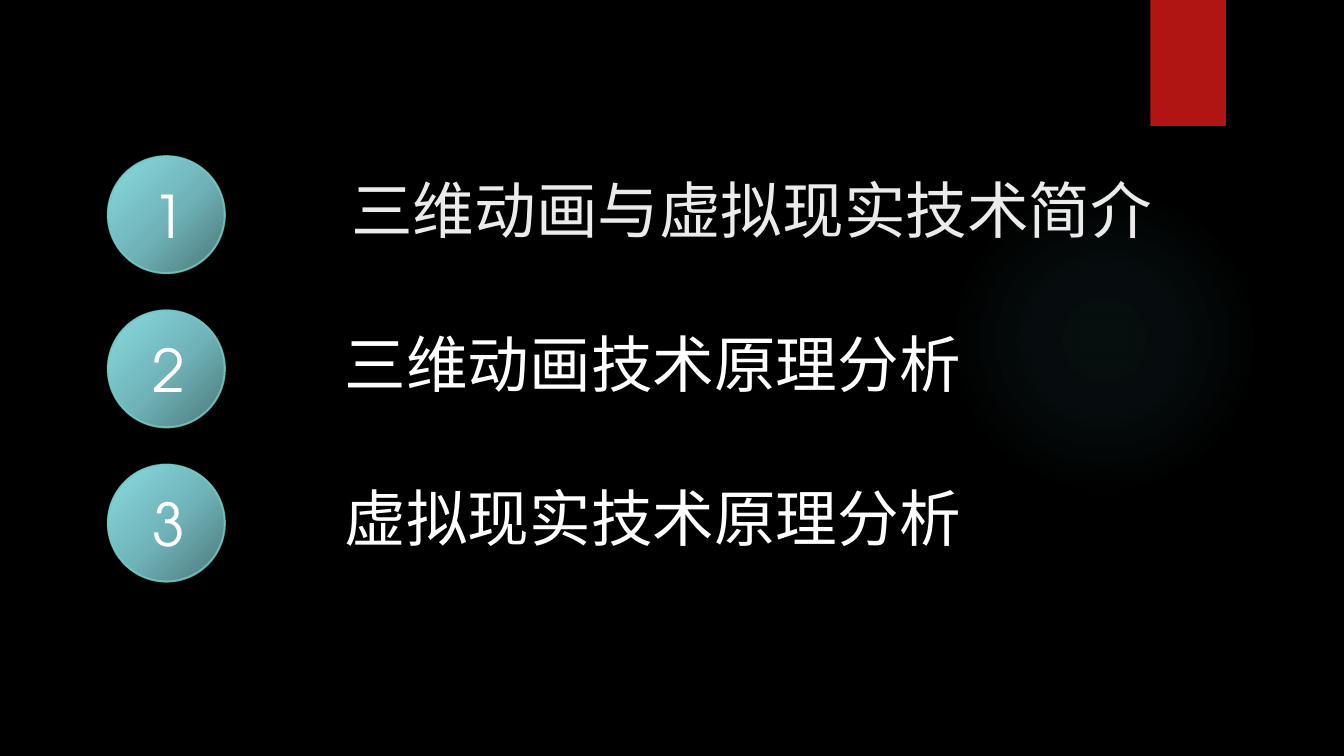
"""Build the contents slide of a course on 3D animation and virtual reality."""
from dataclasses import dataclass

from lxml import etree
from pptx import Presentation
from pptx.dml.color import RGBColor
from pptx.enum.shapes import MSO_SHAPE
from pptx.enum.text import MSO_ANCHOR, MSO_AUTO_SIZE, PP_ALIGN
from pptx.oxml.ns import qn
from pptx.util import Emu, Pt

OVAL, RECT = MSO_SHAPE.OVAL, MSO_SHAPE.RECTANGLE
CENTER, LEFT = PP_ALIGN.CENTER, PP_ALIGN.LEFT
TOP = MSO_ANCHOR.TOP
NO_FIT, GROW = MSO_AUTO_SIZE.NONE, MSO_AUTO_SIZE.SHAPE_TO_FIT_TEXT
EMU_PER_PX = 9144
LATIN, BODY = "TeX Gyre Adventor", "Arial"
COLORS = {
    "background": "000000", "ribbon": "B01513", "glow": "50B9C1",
    "title": "EBEBEB", "text": "FFFFFF", "rim": "73CAC3",
    "ball_dark": "4F7E82", "ball_mid": "70B4B9", "ball_light": "85D5DB",
}
FIRST_BALL_TOP, ROW_STEP = 155, 153


@dataclass(frozen=True)
class Box:
    """A rectangle in px, 100 to the inch."""
    left: int
    top: int
    width: int
    height: int

    def emu(self) -> tuple[Emu, ...]:
        """Return the four lengths in EMU."""
        return tuple(Emu(side * EMU_PER_PX)
                     for side in (self.left, self.top, self.width, self.height))


@dataclass(frozen=True)
class Stop:
    """A gradient stop, with position and opacity in percent."""
    position: int
    color: str
    opacity: int = 100


@dataclass(frozen=True)
class Topic:
    """A numbered topic; the first one is the slide title."""
    number: int
    wording: str


TOPICS = [Topic(1, "三维动画与虚拟现实技术简介"),
          Topic(2, "三维动画技术原理分析"),
          Topic(3, "虚拟现实技术原理分析")]
GLOW_STOPS = [Stop(0, "glow", 7), Stop(36, "glow", 6), Stop(69, "glow", 0)]
BALL_STOPS = [Stop(6, "ball_dark"), Stop(48, "ball_mid"), Stop(93, "ball_light")]


def rgb(name: str) -> RGBColor:
    """Look up a named colour."""
    return RGBColor.from_string(COLORS[name])


def add_opacity(color_element, percent: int) -> None:
    """Make a colour element partly transparent."""
    etree.SubElement(color_element, qn("a:alpha"), val=str(percent * 1000))


def add_plain_shape(slide, kind, box: Box):
    """Add a preset shape without shadow or outline."""
    shape = slide.shapes.add_shape(kind, *box.emu())
    shape.shadow.inherit = False
    shape.line.fill.background()
    return shape


def set_gradient(shape, stops: list[Stop], angle: int | None = None) -> None:
    """Fill a shape with a linear gradient, or a circular one without an angle."""
    shape.fill.gradient()
    gradient = shape.element.spPr.find(qn("a:gradFill"))
    gradient.clear()
    stop_list = etree.SubElement(gradient, qn("a:gsLst"))
    for stop in stops:
        entry = etree.SubElement(stop_list, qn("a:gs"), pos=str(stop.position * 1000))
        color = etree.SubElement(entry, qn("a:srgbClr"), val=COLORS[stop.color])
        if stop.opacity < 100:
            add_opacity(color, stop.opacity)
    if angle is None:
        path = etree.SubElement(gradient, qn("a:path"), path="circle")
        middle = dict.fromkeys("ltrb", "50000")
        etree.SubElement(path, qn("a:fillToRect"), **middle)
    else:
        etree.SubElement(gradient, qn("a:lin"), ang=str(angle * 60000), scaled="0")


def write(frame, wording: str, size: int, font: str, color: str,
          align=LEFT, fit=GROW, wrap: bool = True) -> None:
    """Put one formatted paragraph in a text frame."""
    frame.text = wording
    frame.word_wrap = wrap
    frame.auto_size = fit
    frame.vertical_anchor = TOP
    paragraph = frame.paragraphs[0]
    paragraph.alignment = align
    paragraph.font.size = Pt(size)
    paragraph.font.name = font
    paragraph.font.color.rgb = rgb(color)


def add_decoration(slide) -> None:
    """Add the faint glow and the red ribbon."""
    glow = add_plain_shape(slide, OVAL, Box(941, 183, 308, 308))
    set_gradient(glow, GLOW_STOPS)
    ribbon = add_plain_shape(slide, RECT, Box(1141, 0, 75, 125))
    ribbon.fill.solid()
    ribbon.fill.fore_color.rgb = rgb("ribbon")


def place_title(slide, wording: str) -> None:
    """Place the title above the decoration and format it."""
    title = slide.shapes.title
    title.left, title.top, title.width, title.height = Box(332, 166, 828, 95).emu()
    write(title.text_frame, wording, 44, LATIN, "title", CENTER, NO_FIT)
    title.element.getparent().append(title.element)


def add_ball(slide, number: int, top: int) -> None:
    """Add a shaded ball with its number."""
    ball = add_plain_shape(slide, OVAL, Box(107, top, 116, 116))
    set_gradient(ball, BALL_STOPS, 225)
    ball.line.color.rgb = rgb("rim")
    ball.line.width = Pt(1.5)
    add_opacity(ball.line.fill._xPr.find(".//" + qn("a:srgbClr")), 78)
    digit = slide.shapes.add_textbox(*Box(141, top + 18, 49, 81).emu())
    write(digit.text_frame, str(number), 42, LATIN, "text", wrap=False)


def main() -> None:
    """Build and save the slide."""
    deck = Presentation()
    deck.slide_width, deck.slide_height = Box(0, 0, 1333, 750).emu()[2:]
    slide = deck.slides.add_slide(deck.slide_layouts[5])
    slide.background.fill.solid()
    slide.background.fill.fore_color.rgb = rgb("background")
    add_decoration(slide)
    place_title(slide, TOPICS[0].wording)
    for row, topic in enumerate(TOPICS):
        top = FIRST_BALL_TOP + row * ROW_STEP
        add_ball(slide, topic.number, top)
        if row > 0:
            heading = slide.shapes.add_textbox(*Box(332, top + 10, 784, 84).emu())
            write(heading.text_frame, topic.wording, 44, BODY, "text")
    deck.save("out.pptx")


if __name__ == "__main__":
    main()
